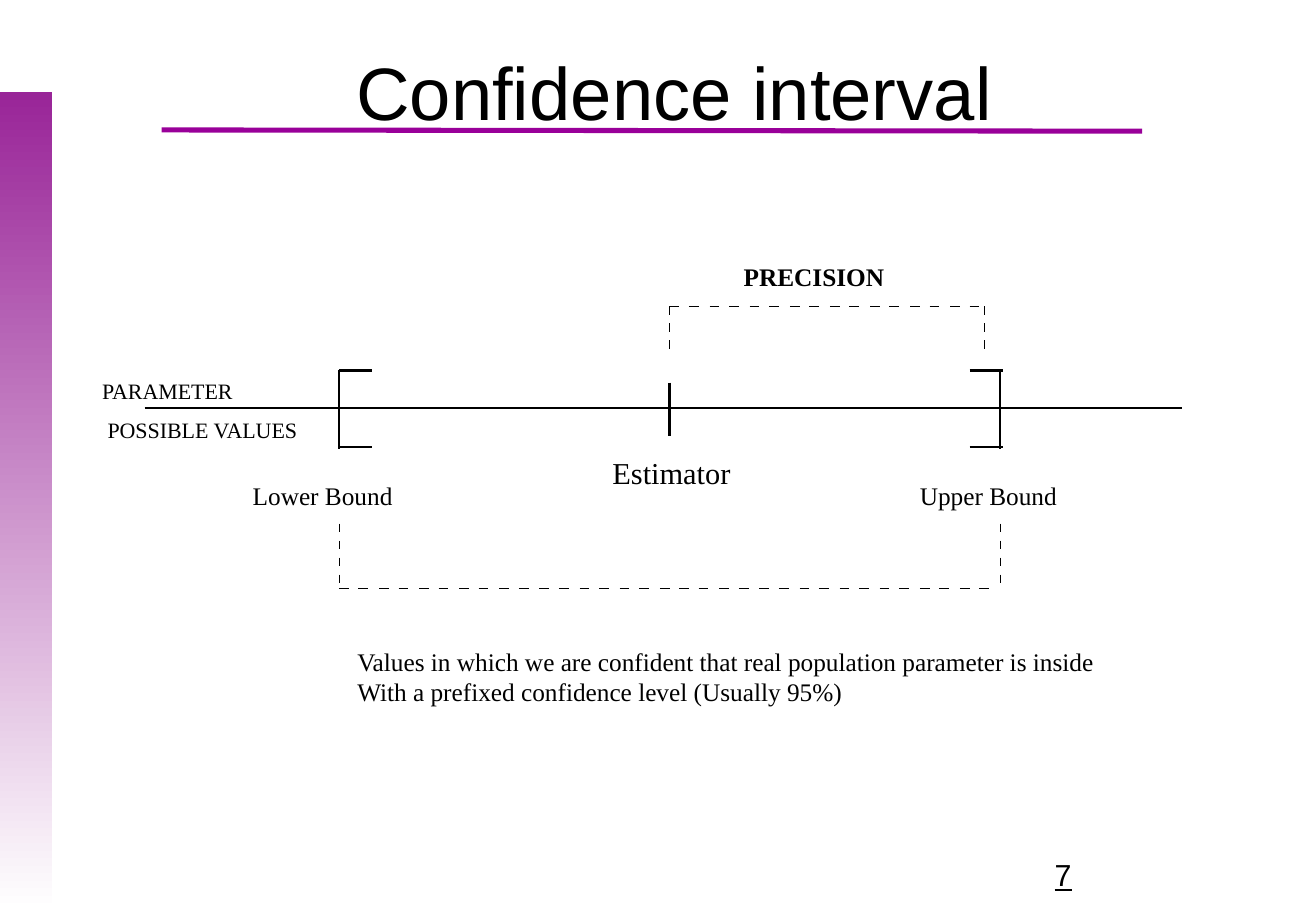
from lxml import etree
from pptx import Presentation
from pptx import util as u
from pptx.dml.color import RGBColor
from pptx.enum import shapes, text
from pptx.oxml import ns

SCALE = 9144
BLACK = RGBColor(0x00, 0x00, 0x00)
WHITE = RGBColor(0xFF, 0xFF, 0xFF)
PLUM = RGBColor(0x99, 0x25, 0x98)
PURPLE = RGBColor(0x99, 0x00, 0x99)
SERIF = "Times New Roman"
SANS = "Arial"
LOW, MID, HIGH = 279, 551, 823
DASH_X, DASH_Y = (16.47, 8), (14, 7)


def px(*vals):
    return [u.Emu(round(v) * SCALE) for v in vals]


def add_rect(slide, box):
    rect = slide.shapes.add_shape(shapes.MSO_SHAPE.RECTANGLE, *px(*box))
    rect.shadow.inherit = False
    rect.line.fill.background()
    return rect


def add_line(slide, ends, width=1.5, color=BLACK):
    line = slide.shapes.add_connector(shapes.MSO_CONNECTOR.STRAIGHT, *px(*ends))
    line.line.width = u.Pt(width)
    line.line.color.rgb = color
    etree.SubElement(line._element.spPr, ns.qn("a:effectLst"))


def add_row(slide, x, y, count):
    pitch, size = DASH_X
    for i in range(count):
        left = round(x + i * pitch)
        add_line(slide, (left, y, left + size, y), 0.13)


def add_drop(slide, x, y, count):
    pitch, size = DASH_Y
    for i in range(count):
        top = y + i * pitch
        add_line(slide, (x, top, x, top + size), 0.13)


def add_text(slide, box, words, size, font=SERIF, bold=False):
    shape = slide.shapes.add_textbox(*px(*box))
    frame = shape.text_frame
    frame.text = words
    frame.word_wrap = False
    frame.auto_size = text.MSO_AUTO_SIZE.SHAPE_TO_FIT_TEXT
    frame.margin_left = frame.margin_right = 0
    frame.margin_top = frame.margin_bottom = 0
    for para in frame.paragraphs:
        for run in para.runs:
            run.font.size = u.Pt(size)
            run.font.name = font
            run.font.bold = bold
            run.font.color.rgb = BLACK
    return frame


def add_frame(slide):
    fill = add_rect(slide, (0, 76, 43, 674)).fill
    fill.gradient()
    fill.gradient_angle = 270
    for stop, color, place in zip(fill.gradient_stops, (PLUM, WHITE), (0, 1)):
        stop.color.rgb = color
        stop.position = place
    add_line(slide, (133, 107, 940, 108), 3, PURPLE)

    page = add_text(slide, (868, 705, 206, 40), "7", 18, SANS)
    page.paragraphs[0].runs[0].font.underline = True

    title = add_text(slide, (27, 28, 1056, 50), "Confidence interval", 44, SANS)
    title.auto_size = text.MSO_AUTO_SIZE.NONE
    title.word_wrap = True
    title.margin_top = px(10)[0]
    title.paragraphs[0].alignment = text.PP_ALIGN.CENTER


def add_scale(slide):
    fill = add_rect(slide, (69, 210, 911, 382)).fill
    fill.solid()
    fill.fore_color.rgb = WHITE

    add_line(slide, (119, 336, 973, 336))
    add_line(slide, (MID, 315, MID, 359))
    for post, left, right in ((LOW, 279, 306), (HIGH, 798, 825)):
        add_line(slide, (post, 305, post, 370))
        for y in (305, 368):
            add_line(slide, (left, y, right, y))

    add_row(slide, MID, 252, 16)
    add_row(slide, LOW, 484, 33)
    for x, y, count in ((MID, 252, 3), (810, 252, 3), (LOW, 431, 4), (HIGH, 431, 4)):
        add_drop(slide, x, y, count)


def add_labels(slide):
    add_text(slide, (208, 395, 116, 25), "Lower Bound", 15)
    add_text(slide, (757, 395, 114, 25), "Upper Bound", 15)
    add_text(slide, (504, 374, 98, 30), "Estimator", 18)
    add_text(slide, (612, 215, 156, 30), "PRECISION", 15, bold=True)
    add_text(slide, (84, 311, 113, 22), "PARAMETER", 13)
    add_text(slide, (84, 343, 163, 22), " POSSIBLE VALUES", 13)
    add_text(
        slide, (294, 532, 611, 51),
        "Values in which we are confident that real population parameter is inside\n"
        "With a prefixed confidence level (Usually 95%)", 15)


def main():
    deck = Presentation()
    deck.slide_width, deck.slide_height = px(1083, 750)
    slide = deck.slides.add_slide(deck.slide_layouts[6])
    add_frame(slide)
    add_scale(slide)
    add_labels(slide)
    deck.save("out.pptx")


if __name__ == "__main__":
    main()
